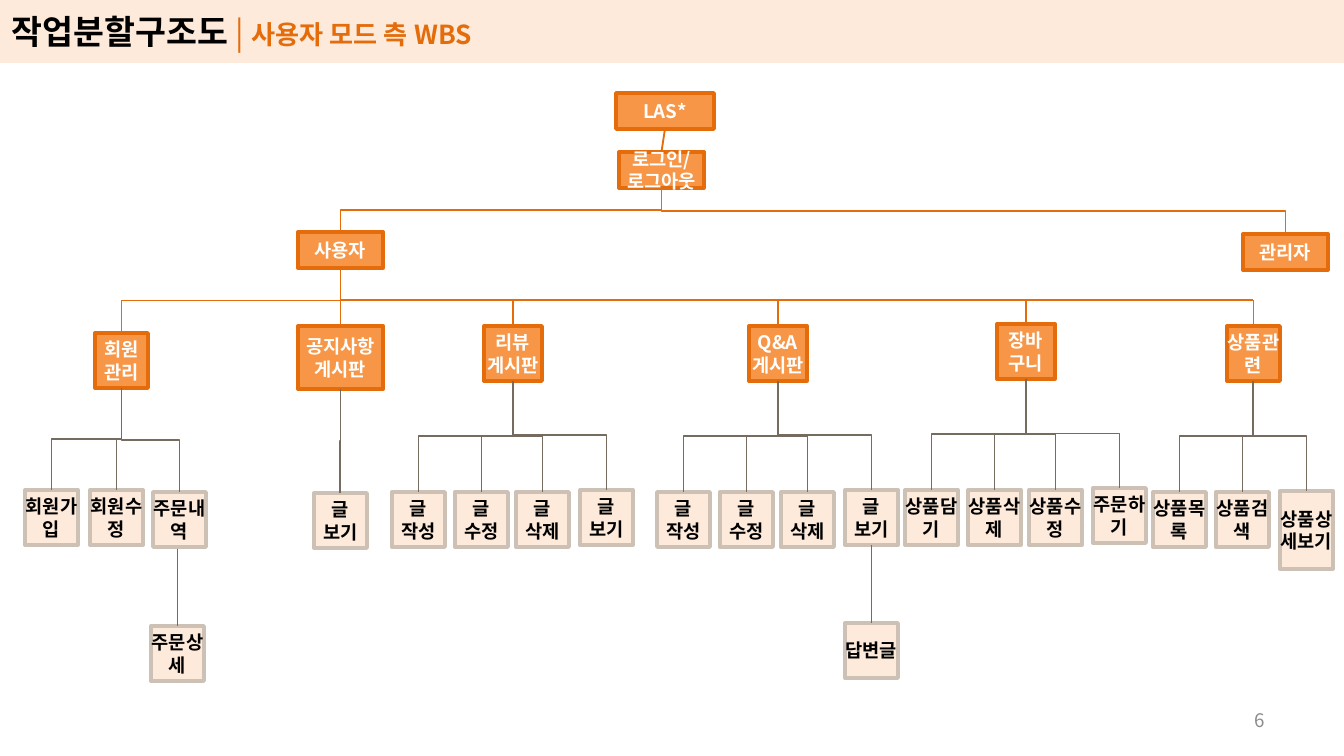
from lxml.etree import SubElement
from pptx import Presentation
from pptx.dml.color import RGBColor
from pptx.enum.shapes import MSO_CONNECTOR as Line, MSO_SHAPE as Shape
from pptx.enum.text import MSO_ANCHOR as Anchor, PP_ALIGN as Align
from pptx.oxml.ns import qn
from pptx.util import Emu, Pt

# Content: texts and places in px
FONT = "Noto Sans CJK KR"
ORANGE, GREY = "E46C0A", "756B5F"
TITLE = [
    ("작업분할구조도 ", {"size": Pt(18), "bold": True}, "000000"),
    ("| ", {"size": Pt(17), "bold": False}, ORANGE),
    ("사용자 모드 측 WBS", {"size": Pt(14), "bold": True}, ORANGE),
]
PAGE = [("6", {"size": Pt(10), "bold": False}, "8C8C8C")]

BRANCH = {"fill": "F79646", "line": ORANGE, "ink": "FFFFFF"}
LEAF = {"fill": "FDEADA", "line": "CDC1B6", "ink": "000000"}
LEAF_W, LEAF_H = 53, 55
BUS_Y = 300

# name: (text, left, top, width, height)
BRANCHES = {
    "root": ("LAS*", 616, 93, 98, 36),
    "login": ("로그인/\n로그아웃", 619, 152, 85, 36),
    "user": ("사용자", 298, 232, 85, 36),
    "admin": ("관리자", 1243, 234, 85, 36),
    "member": ("회원\n관리", 95, 333, 53, 55),
    "notice": ("공지사항\n게시판", 298, 326, 85, 63),
    "review": ("리뷰\n게시판", 484, 326, 58, 55),
    "qna": ("Q&A\n게시판", 749, 326, 58, 55),
    "cart": ("장바\n구니", 997, 324, 58, 55),
    "product": ("상품관련", 1227, 326, 53, 55),
}
BUS_BRANCHES = ["notice", "review", "qna", "cart", "product"]

# Leaf offsets from the left top corner of their branch
FOUR = [(-92, 166), (-29, 166), (32, 166), (96, 164)]
POSTS = ["글\n작성", "글\n수정", "글\n삭제", "글\n보기"]
LEAVES = {
    "member": (["회원가입", "회원수정", "주문내역"], [(-70, 157), (-5, 157), (58, 159)]),
    "notice": (["글\n보기"], [(16, 167)]),
    "review": (POSTS, FOUR),
    "qna": (POSTS, FOUR),
    "cart": (["상품담기", "상품삭제", "상품수정", "주문하기"], FOUR),
    "product": (["상품목록", "상품검색", "상품상세보기"], [(-74, 166), (-11, 166), (53, 165)]),
}
TALL_LEAVES = {"상품상세보기": 78}
ORDER_DETAIL = ("주문상세", 151, 626, LEAF_W, LEAF_H)
ORDER_BOTTOM = 549
REPLY = ("답변글", 845, 623, LEAF_W, LEAF_H)


def px(n):
    return Emu(round(n * 914400 / 134.4))


def colour(code):
    return RGBColor.from_string(code)


def set_all(target, values):
    for name, value in values.items():
        setattr(target, name, value)


deck = Presentation()
set_all(deck, {"slide_width": px(1344), "slide_height": px(756)})
slide = deck.slides.add_slide(deck.slide_layouts[6])


def add_rect(place, fill, margins):
    rect = slide.shapes.add_shape(Shape.RECTANGLE, *map(px, place))
    rect.shadow.inherit = False
    rect.fill.solid()
    rect.fill.fore_color.rgb = colour(fill)
    rect.line.fill.background()
    across, down = map(px, margins)
    set_all(rect.text_frame, {
        "word_wrap": True, "vertical_anchor": Anchor.MIDDLE,
        "margin_left": across, "margin_right": across,
        "margin_top": down, "margin_bottom": down,
    })
    return rect


def add_run(paragraph, text, style, ink):
    run = paragraph.add_run()
    run.text = text
    set_all(run.font, {"name": FONT, **style})
    run.font.color.rgb = colour(ink)
    SubElement(run.font._element, qn("a:ea")).set("typeface", FONT)


def add_strip(place, fill, runs, align):
    paragraph = add_rect(place, fill, (12, 6)).text_frame.paragraphs[0]
    paragraph.alignment = align
    for run in runs:
        add_run(paragraph, *run)


def add_box(text, left, top, width, height, look):
    box = add_rect((left, top, width, height), look["fill"], (0, 0))
    box.line.color.rgb = colour(look["line"])
    box.line.width = Pt(2)
    for i, words in enumerate(text.split("\n")):
        frame = box.text_frame
        paragraph = frame.add_paragraph() if i else frame.paragraphs[0]
        paragraph.alignment = Align.CENTER
        add_run(paragraph, words, {"size": Pt(10), "bold": True}, look["ink"])
    return box


def add_line(kind, ends, ink):
    line = slide.shapes.add_connector(kind, *ends)
    line.line.color.rgb = colour(ink)
    line.line.width = Pt(1)
    SubElement(line.element.spPr, qn("a:effectLst"))
    return line


def middle(box):
    return box.left + box.width // 2


def drop(y, box, ink):
    """Straight line from a height down to the top of a box."""
    add_line(Line.STRAIGHT, (middle(box), px(y), middle(box), box.top), ink).end_connect(box, 0)


def join(parent, child, ink, kind=Line.ELBOW):
    """Connector from the bottom of a parent to the top of its child."""
    x1, y1, x2, y2 = middle(parent), parent.top + parent.height, middle(child), child.top
    line = add_line(kind, (x1, y1, x2, y2), ink)
    line.begin_connect(parent, 2)
    line.end_connect(child, 0)
    if kind == Line.ELBOW:
        # Turn the elbow so that it leaves downwards
        run, fall = abs(x2 - x1), y2 - y1
        set_all(line, {
            "left": Emu((x1 + x2 - fall) // 2), "top": Emu((y1 + y2 - run) // 2),
            "width": Emu(fall), "height": Emu(run),
        })
        xfrm = line.element.spPr.find(qn("a:xfrm"))
        xfrm.attrib.clear()
        xfrm.set("rot", "16200000" if x2 > x1 else "5400000")
        if x2 > x1:
            xfrm.set("flipH", "1")


# Title bar and page number
add_strip((0, 0, 1344, 63), "FDEADA", TITLE, Align.LEFT)
add_strip((964, 700, 313, 40), "FFFFFF", PAGE, Align.RIGHT)

# Branch boxes and their lines
branches = {name: add_box(*branch, BRANCH) for name, branch in BRANCHES.items()}
join(branches["root"], branches["login"], ORANGE, Line.STRAIGHT)
for parent, child in [("login", "user"), ("login", "admin"), ("user", "member")]:
    join(branches[parent], branches[child], ORANGE)
bus_ends = (middle(branches["user"]), px(BUS_Y), middle(branches["product"]), px(BUS_Y))
add_line(Line.STRAIGHT, bus_ends, ORANGE)
for name in BUS_BRANCHES:
    drop(BUS_Y, branches[name], ORANGE)

# Leaf boxes under each branch
last_leaf = {}
for name, (texts, offsets) in LEAVES.items():
    _, left, top, _, _ = BRANCHES[name]
    for text, (dx, dy) in zip(texts, offsets):
        height = TALL_LEAVES.get(text, LEAF_H)
        last_leaf[name] = add_box(text, left + dx, top + dy, LEAF_W, height, LEAF)
        join(branches[name], last_leaf[name], GREY)

# Third level
drop(ORDER_BOTTOM, add_box(*ORDER_DETAIL, LEAF), GREY)
join(last_leaf["qna"], add_box(*REPLY, LEAF), GREY)

deck.save("out.pptx")
